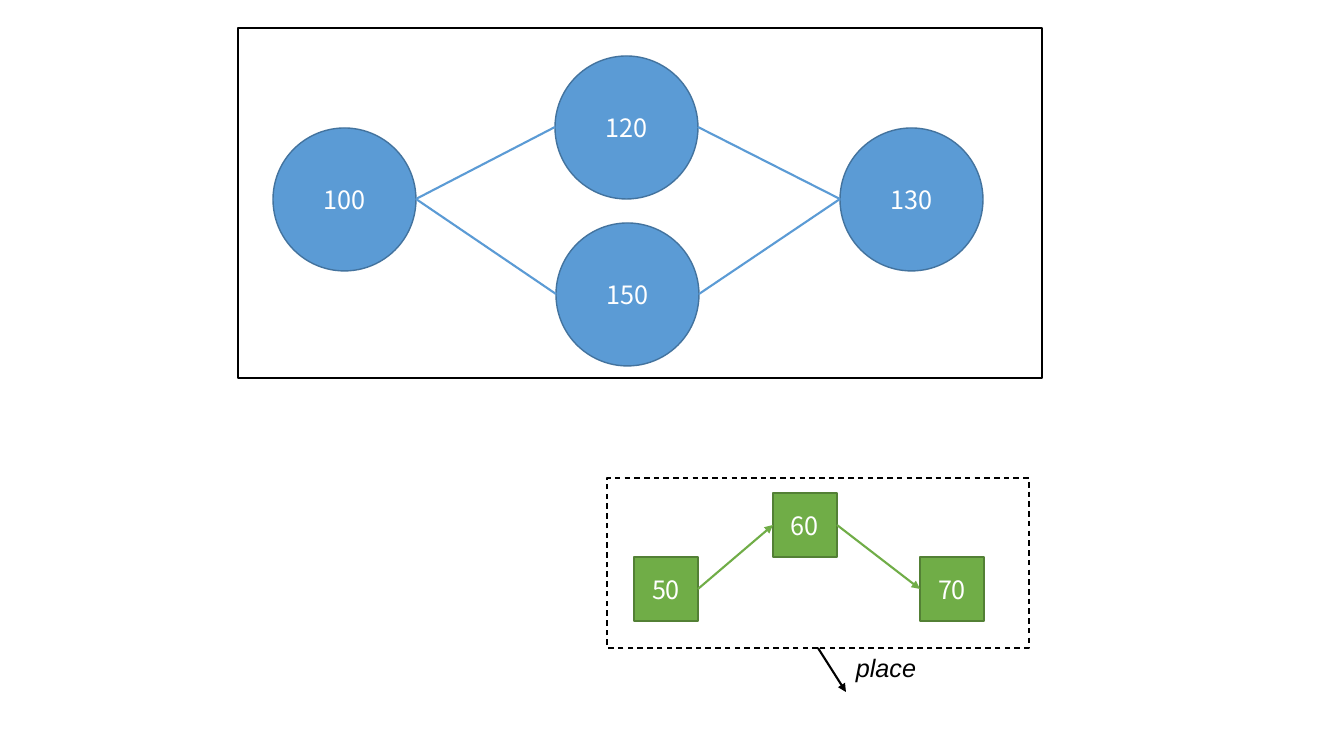
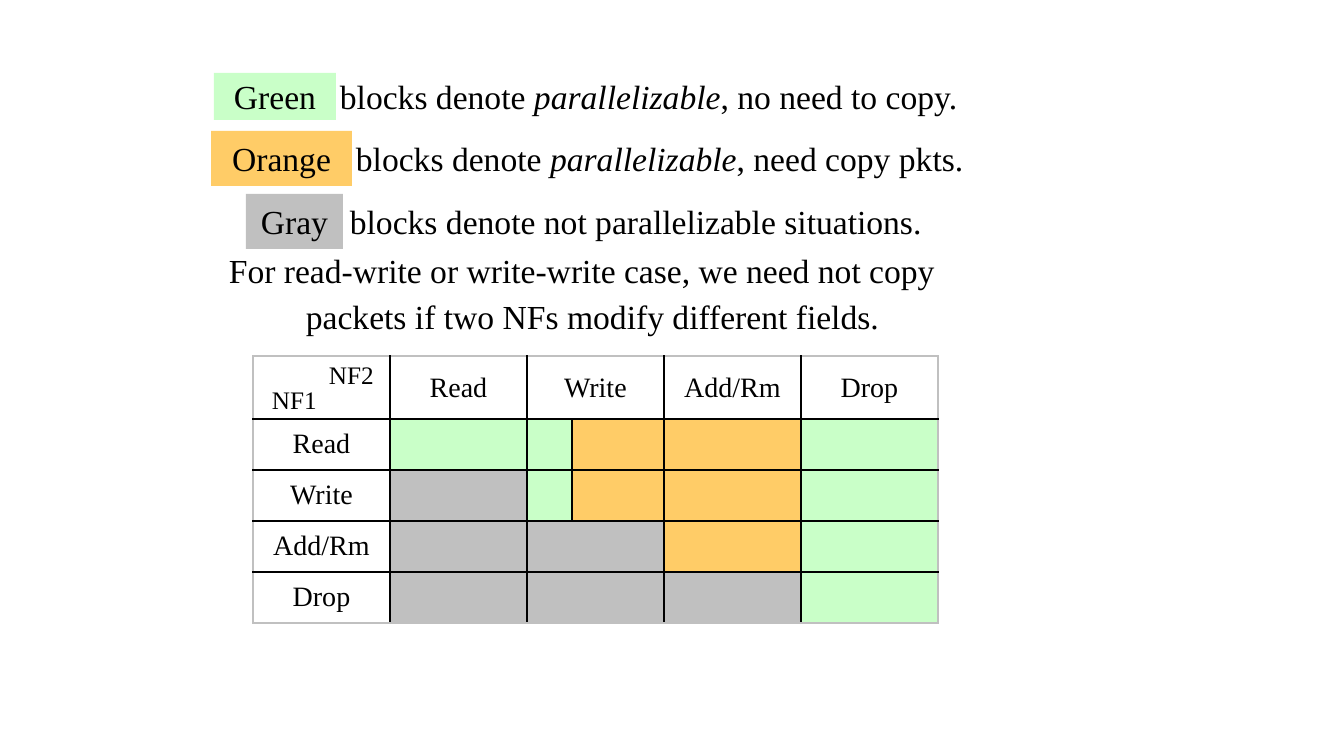
import pptx
import pptx.dml.color
import pptx.enum.dml
import pptx.enum.shapes
import pptx.enum.text
import pptx.oxml
import pptx.oxml.ns
import pptx.util
from dataclasses import dataclass
from typing import Any, Optional

# Shared scale, colours and fonts
EMU_PER_PIXEL = 914400 / 100.8
COLORS = {
    "black": "000000", "white": "FFFFFF",
    "blue": "5B9BD5", "blue edge": "43739E",
    "leaf": "70AD47", "leaf edge": "538035",
    "green": "C9FFC8", "orange": "FFCC67", "gray": "C0C0C0",
}
SANS, SERIF, NODE_FONT = "Arial", "Times New Roman", "Noto Sans CJK SC"
OVAL = pptx.enum.shapes.MSO_SHAPE.OVAL
RECTANGLE = pptx.enum.shapes.MSO_SHAPE.RECTANGLE
CENTER = pptx.enum.text.PP_ALIGN.CENTER
MIDDLE = pptx.enum.text.MSO_ANCHOR.MIDDLE


@dataclass(frozen=True)
class Box:
    left: int
    top: int
    width: int
    height: int

    @property
    def left_middle(self) -> tuple[int, int]:
        return self.left, self.top + self.height // 2

    @property
    def right_middle(self) -> tuple[int, int]:
        return self.left + self.width, self.top + self.height // 2


@dataclass(frozen=True)
class TextStyle:
    font: str
    size: int
    color: str = "black"


@dataclass(frozen=True)
class ShapeStyle:
    fill: Optional[str] = None
    line: Optional[str] = None
    dashed: bool = False


@dataclass(frozen=True)
class Run:
    text: str
    italic: bool = False


@dataclass(frozen=True)
class Network:
    kind: Any
    style: ShapeStyle
    nodes: dict[str, Box]
    links: list[tuple[str, str]]
    arrows: bool


@dataclass(frozen=True)
class LegendRow:
    label: str
    chip: Box
    sentence: Box
    runs: list[Run]


NODE_TEXT = TextStyle(NODE_FONT, 18, "white")
PLACE_TEXT = TextStyle(SANS, 18)
LEGEND_TEXT = TextStyle(SERIF, 24)
TABLE_TEXT = TextStyle(SERIF, 20)
CORNER_TEXT = TextStyle(SERIF, 18)


# Drawing helpers
def px(pixels: int) -> pptx.util.Emu:
    return pptx.util.Emu(round(pixels * EMU_PER_PIXEL))


def place(box: Box) -> list[pptx.util.Emu]:
    return [px(value) for value in (box.left, box.top, box.width, box.height)]


def rgb(color: str) -> pptx.dml.color.RGBColor:
    return pptx.dml.color.RGBColor.from_string(COLORS[color])


def add_runs(paragraph: Any, runs: list[Run], style: TextStyle) -> None:
    for item in runs:
        run = paragraph.add_run()
        run.text = item.text
        run.font.name = style.font
        run.font.size = pptx.util.Pt(style.size)
        run.font.italic = item.italic
        run.font.color.rgb = rgb(style.color)


def add_block(shapes: Any, kind: Any, box: Box, style: ShapeStyle,
              label: str = "", text_style: TextStyle = NODE_TEXT) -> None:
    shape = shapes.add_shape(kind, *place(box))
    shape.shadow.inherit = False
    if style.fill:
        shape.fill.solid()
        shape.fill.fore_color.rgb = rgb(style.fill)
    else:
        shape.fill.background()
    if style.line:
        shape.line.color.rgb = rgb(style.line)
        shape.line.width = pptx.util.Pt(1)
    else:
        shape.line.fill.background()
    if style.dashed:
        shape.line.dash_style = pptx.enum.dml.MSO_LINE.DASH
    if label:
        shape.text_frame.vertical_anchor = MIDDLE
        paragraph = shape.text_frame.paragraphs[0]
        paragraph.alignment = CENTER
        add_runs(paragraph, [Run(label)], text_style)


def add_text(shapes: Any, box: Box, runs: list[Run], style: TextStyle) -> None:
    frame = shapes.add_textbox(*place(box)).text_frame
    frame.word_wrap = False
    frame.auto_size = pptx.enum.text.MSO_AUTO_SIZE.SHAPE_TO_FIT_TEXT
    add_runs(frame.paragraphs[0], runs, style)


def add_line(shapes: Any, start: tuple[int, int], end: tuple[int, int],
             color: str, arrow: bool) -> None:
    connector = shapes.add_connector(
        pptx.enum.shapes.MSO_CONNECTOR.STRAIGHT,
        *(px(value) for value in (*start, *end)))
    connector.line.color.rgb = rgb(color)
    connector.line.width = pptx.util.Pt(1.5)
    properties = connector.element.spPr
    if arrow:
        tail = pptx.oxml.parse_xml(
            f'<a:tailEnd {pptx.oxml.ns.nsdecls("a")} type="triangle"/>')
        properties.find(pptx.oxml.ns.qn("a:ln")).append(tail)
    properties.append(pptx.oxml.parse_xml(
        f'<a:effectLst {pptx.oxml.ns.nsdecls("a")}/>'))


def add_network(shapes: Any, network: Network) -> None:
    for label, box in network.nodes.items():
        add_block(shapes, network.kind, box, network.style, label)
    for start, end in network.links:
        add_line(shapes, network.nodes[start].right_middle,
                 network.nodes[end].left_middle,
                 network.style.fill, network.arrows)


def set_borders(cell: Any, colors: dict[str, str]) -> None:
    properties = cell._tc.get_or_add_tcPr()
    for index, (side, color) in enumerate(colors.items()):
        properties.insert(index, pptx.oxml.parse_xml(
            f'<a:ln{side} {pptx.oxml.ns.nsdecls("a")} w="12700">'
            f'<a:solidFill><a:srgbClr val="{COLORS[color]}"/></a:solidFill>'
            f'</a:ln{side}>'))


# Slide 1: the substrate network and the request placed on it
DIAMETER, SIDE = 143, 64
SUBSTRATE_FRAME = Box(238, 28, 804, 350)
REQUEST_FRAME = Box(607, 478, 422, 170)
SUBSTRATE = Network(
    OVAL, ShapeStyle("blue", "blue edge"),
    {label: Box(left, top, DIAMETER, DIAMETER) for label, left, top in (
        ("100", 273, 128), ("130", 840, 128),
        ("150", 556, 223), ("120", 555, 56))},
    [("100", "120"), ("100", "150"), ("150", "130"), ("120", "130")],
    arrows=False)
REQUEST = Network(
    RECTANGLE, ShapeStyle("leaf", "leaf edge"),
    {label: Box(left, top, SIDE, SIDE) for label, left, top in (
        ("50", 634, 557), ("60", 773, 493), ("70", 920, 557))},
    [("50", "60"), ("60", "70")],
    arrows=True)


def draw_placement(slide: Any) -> None:
    add_network(slide.shapes, SUBSTRATE)
    request = slide.shapes.add_group_shape().shapes
    add_network(request, REQUEST)
    add_line(request, (818, 648), (846, 692), "black", arrow=True)
    add_text(request, Box(846, 647, 82, 40), [Run("place", True)], PLACE_TEXT)
    add_block(request, RECTANGLE, REQUEST_FRAME,
              ShapeStyle(line="black", dashed=True))
    add_block(slide.shapes, RECTANGLE, SUBSTRATE_FRAME, ShapeStyle(line="black"))


# Slide 2: the colour legend and the table of action pairs
ACTIONS = ["Read", "Write", "Add/Rm", "Drop"]
HEADINGS = ["", "Read", "Write", "", "Add/Rm", "Drop"]
COLUMN_WIDTHS = [137, 137, 45, 92, 137, 137]
ROW_HEIGHTS = [63] + [51] * len(ACTIONS)
PAIR_COLORS = [
    ["green", "green", "orange", "orange", "green"],
    ["gray", "green", "orange", "orange", "green"],
    ["gray", "gray", "gray", "orange", "green"],
    ["gray", "gray", "gray", "gray", "green"],
]
MERGED_ROWS = (0, 3, 4)
LEGEND = [
    LegendRow("Orange", Box(211, 131, 141, 55), Box(346, 133, 635, 50),
              [Run("blocks denote "), Run("parallelizable", True),
               Run(", need copy pkts.")]),
    LegendRow("Green", Box(214, 73, 122, 47), Box(330, 71, 647, 50),
              [Run("blocks denote "), Run("parallelizable", True),
               Run(", no need to copy.")]),
    LegendRow("Gray", Box(246, 194, 97, 55), Box(340, 196, 606, 50),
              [Run("blocks denote not parallelizable situations.")]),
]
NOTES = [
    ("For read-write or write-write case, we need not copy",
     Box(219, 245, 753, 50)),
    ("packets if two NFs modify different fields.", Box(296, 291, 599, 50)),
]
CORNERS = [("NF1", Box(262, 379, 66, 40)), ("NF2", Box(319, 354, 66, 40))]


def draw_table(slide: Any) -> None:
    rows, columns = len(ROW_HEIGHTS), len(COLUMN_WIDTHS)
    box = Box(253, 356, sum(COLUMN_WIDTHS), sum(ROW_HEIGHTS))
    table = slide.shapes.add_table(rows, columns, *place(box)).table
    table.first_row = table.horz_banding = False
    for column, width in zip(table.columns, COLUMN_WIDTHS):
        column.width = px(width)
    for row, height in zip(table.rows, ROW_HEIGHTS):
        row.height = px(height)
    for row in MERGED_ROWS:
        table.cell(row, 2).merge(table.cell(row, 3))
    for row in range(rows):
        for column in range(columns):
            cell = table.cell(row, column)
            heading = row == 0 or column == 0
            if heading:
                cell.fill.background()
            else:
                cell.fill.solid()
                cell.fill.fore_color.rgb = rgb(PAIR_COLORS[row - 1][column - 1])
            outer = {"L": column == 0, "R": column == columns - 1,
                     "T": row == 0, "B": row == rows - 1}
            set_borders(cell, {side: "gray" if edge else "black"
                               for side, edge in outer.items()})
            label = HEADINGS[column] if row == 0 else ACTIONS[row - 1]
            if heading and label:
                cell.vertical_anchor = MIDDLE
                paragraph = cell.text_frame.paragraphs[0]
                paragraph.alignment = CENTER
                add_runs(paragraph, [Run(label)], TABLE_TEXT)


def draw_action_pairs(slide: Any) -> None:
    draw_table(slide)
    for label, box in CORNERS:
        add_text(slide.shapes, box, [Run(label)], CORNER_TEXT)
    for sentence, box in NOTES:
        add_text(slide.shapes, box, [Run(sentence)], LEGEND_TEXT)
    for row in LEGEND:
        group = slide.shapes.add_group_shape().shapes
        add_text(group, row.sentence, row.runs, LEGEND_TEXT)
        add_block(group, RECTANGLE, row.chip, ShapeStyle(row.label.lower()),
                  row.label, LEGEND_TEXT)


# Build the presentation
presentation = pptx.Presentation()
presentation.slide_width, presentation.slide_height = px(1344), px(756)
blank_layout = presentation.slide_layouts[6]
for draw in (draw_placement, draw_action_pairs):
    draw(presentation.slides.add_slide(blank_layout))
presentation.save("out.pptx")
